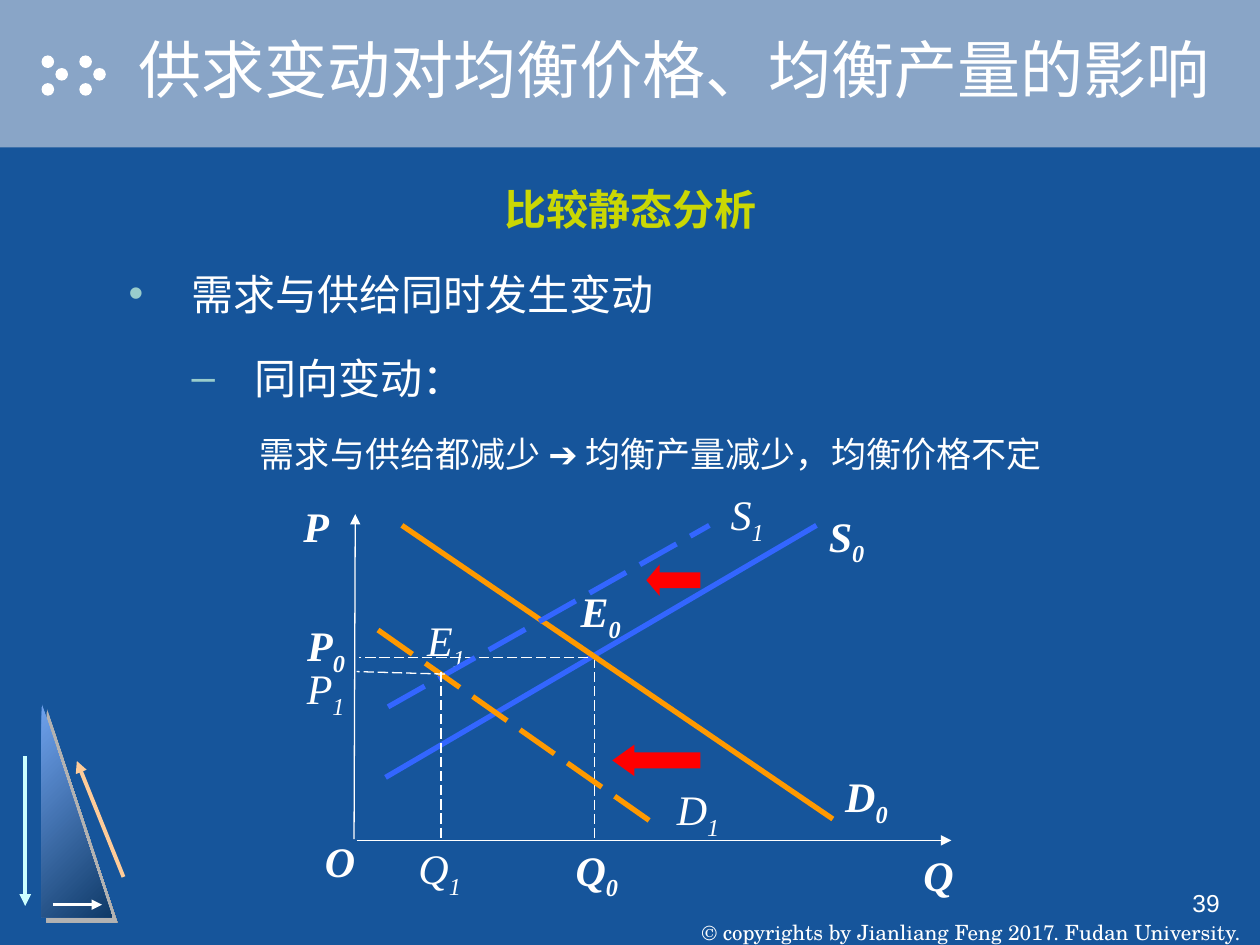
from lxml.etree import SubElement as Sub
from pptx import Presentation
from pptx.dml.color import RGBColor as Rgb
from pptx.enum.dml import MSO_LINE as Dash
from pptx.enum.shapes import MSO_CONNECTOR as Link, MSO_SHAPE as Kind
from pptx.enum.text import MSO_ANCHOR as Anchor, MSO_AUTO_SIZE as Fit, PP_ALIGN as Align
from pptx.oxml.ns import qn
from pptx.util import Pt

SCALE = 9144
NAVY = Rgb(0x16, 0x55, 0x9B)
BAND = Rgb(0x89, 0xA5, 0xC7)
WHITE = Rgb(0xFF, 0xFF, 0xFF)
LIME = Rgb(0xCA, 0xD7, 0x04)
TEAL = Rgb(0x99, 0xCC, 0xCC)
BLUE = Rgb(0x33, 0x66, 0xFF)
ORANGE = Rgb(0xFF, 0x99, 0x00)
RED = Rgb(0xFF, 0x00, 0x00)
CYAN = Rgb(0xCC, 0xFF, 0xFF)
PEACH = Rgb(0xFF, 0xCC, 0x99)
SKY = Rgb(0x6F, 0xA2, 0xED)
DEEP = Rgb(0x0F, 0x3A, 0x68)
GREY = Rgb(0xB2, 0xB2, 0xB2)
DARK = Rgb(0x00, 0x00, 0x00)
SERIF = "Times New Roman"
HAN = "Noto Sans CJK SC"


def px(*vals):
    return [round(v * SCALE) for v in vals]


def style(item, form):
    for name, val in form.items():
        setattr(item, name, val)


class Board:
    def __init__(self, slide):
        self.slide = slide
        self.shapes = slide.shapes
        slide.background.fill.solid()
        slide.background.fill.fore_color.rgb = NAVY

    def shape(self, kind, box, color, adj=()):
        item = self.shapes.add_shape(kind, *px(*box))
        item.shadow.inherit = False
        item.line.fill.background()
        item.fill.solid()
        item.fill.fore_color.rgb = color
        for i, val in enumerate(adj):
            item.adjustments[i] = val
        return item

    def shade(self, node, color, dist):
        cast = Sub(node, qn("a:outerShdw"), dist=str(Pt(dist)), dir="2700000", algn="ctr", rotWithShape="0")
        Sub(cast, qn("a:srgbClr"), val=str(color))

    def line(self, ends, color, width, tip=False, dash=False):
        item = self.shapes.add_connector(Link.STRAIGHT, *px(*ends))
        item.line.color.rgb = color
        item.line.width = Pt(width)
        if dash:
            item.line.dash_style = Dash.LONG_DASH
        if tip:
            Sub(item.line._get_or_add_ln(), qn("a:tailEnd"), type="triangle")
        Sub(item._element.spPr, qn("a:effectLst"))

    def frame(self, item, **form):
        base = dict(word_wrap=True, auto_size=Fit.NONE, vertical_anchor=Anchor.TOP)
        left, top = px(10, 5)
        base.update(margin_left=left, margin_right=left, margin_top=top, margin_bottom=top)
        style(item.text_frame, base | form)
        return item.text_frame

    def box(self, box, **form):
        return self.frame(self.shapes.add_textbox(*px(*box)), **form)

    def holder(self, spot, box, **form):
        item = self.slide.placeholders[spot]
        style(item, dict(zip(("left", "top", "width", "height"), px(*box))))
        self.shapes._spTree.append(item._element)
        return self.frame(item, **form)

    def para(self, frame, first=False, **form):
        par = frame.paragraphs[0] if first else frame.add_paragraph()
        style(par, form)
        return par

    def bullet(self, par, mark, left, hang):
        pr = par._p.get_or_add_pPr()
        left, hang = px(left, hang)
        pr.set("marL", str(left))
        pr.set("indent", str(-hang))
        if mark:
            Sub(Sub(pr, qn("a:buClr")), qn("a:srgbClr"), val=str(TEAL))
            Sub(pr, qn("a:buFont"), typeface="Arial")
            Sub(pr, qn("a:buChar"), char=mark)
        else:
            Sub(pr, qn("a:buNone"))

    def run(self, par, text, size, name=SERIF, color=WHITE, base=0, **form):
        run = par.add_run()
        run.text = text
        style(run.font, dict(size=Pt(size), name=name, bold=False) | form)
        run.font.color.rgb = color
        pr = run._r.get_or_add_rPr()
        if base:
            pr.set("baseline", str(base))
        pr.find(qn("a:latin")).addnext(pr.makeelement(qn("a:ea"), typeface=HAN))
        return run

    def label(self, text, box, bold, wrap=True):
        frame = self.box(box, word_wrap=wrap, auto_size=Fit.SHAPE_TO_FIT_TEXT)
        par = self.para(frame, True, alignment=Align.LEFT if bold else Align.CENTER)
        self.run(par, text[0], 24, bold=bold, italic=True)
        if text[1:]:
            self.run(par, text[1:], 24, base=-25000, bold=bold, italic=True)


def backdrop(board):
    board.shape(Kind.RECTANGLE, (0, 0, 1000, 117), BAND)
    for left in (33, 63):
        for dx, top in ((0, 44), (11, 54), (0, 66)):
            board.shape(Kind.OVAL, (left + dx, top, 10, 10), WHITE)
    wedge = board.shape(Kind.RIGHT_TRIANGLE, (33, 558, 56, 170), SKY)
    wedge.fill.gradient()
    wedge.fill.gradient_angle = 315
    for stop, color, pos in zip(wedge.fill.gradient_stops, (SKY, DEEP), (0, 1)):
        stop.color.rgb = color
        stop.position = pos
    board.shade(wedge._element.spPr.find(qn("a:effectLst")), GREY, 4.2)
    board.line((20, 600, 20, 719), CYAN, 2.25, tip=True)
    board.line((98, 696, 61, 604), PEACH, 2.25, tip=True)
    board.line((42, 718, 81, 718), WHITE, 1.5, tip=True)


def words(board):
    foot = board.box((542, 700, 458, 50), word_wrap=False, vertical_anchor=Anchor.BOTTOM,
                     margin_top=0, margin_bottom=0)
    par = board.para(foot, True, alignment=Align.CENTER)
    board.run(par, "© copyrights by Jianliang Feng 2017. Fudan University.", 12, "TeX Gyre Schola")
    par = board.para(board.box((775, 700, 203, 50)), True, alignment=Align.RIGHT)
    board.run(par, "39", 14, "Arial")

    title = board.holder(0, (100, 0, 900, 108), vertical_anchor=Anchor.MIDDLE)
    par = board.para(title, True, alignment=Align.LEFT)
    run = board.run(par, "供求变动对均衡价格、均衡产量的影响", 36, "Arial")
    pr = run._r.get_or_add_rPr()
    glow = pr.makeelement(qn("a:effectLst"))
    pr.find(qn("a:solidFill")).addnext(glow)
    board.shade(glow, DARK, 2)

    body = board.holder(1, (92, 133, 817, 200))
    rows = (
        ("比较静态分析", 0, None, 0, 0, Align.CENTER, HAN, LIME),
        ("需求与供给同时发生变动", 0, "•", 50, 50, Align.JUSTIFY, HAN, WHITE),
        ("同向变动：", 1, "–", 100, 50, Align.JUSTIFY, SERIF, WHITE),
    )
    for i, (text, level, mark, left, hang, align, name, color) in enumerate(rows):
        par = board.para(body, i == 0, level=level, alignment=align, line_spacing=1.2,
                         space_before=Pt(13.5 if i else 0))
        board.bullet(par, mark, left, hang)
        board.run(par, text, 24, name, color, bold=i == 0)

    par = board.para(board.box((108, 332, 817, 67)), True, alignment=Align.CENTER, line_spacing=1.2)
    for text, name in (("需求与供给都减少 ", SERIF), ("➔", "Arial"), (" 均衡产量减少，均衡价格不定", SERIF)):
        board.run(par, text, 20, name)


def graph(board):
    board.line((306, 617, 648, 417), BLUE, 3)
    for ends in ((281, 666, 282, 408), (283, 667, 755, 667)):
        board.line(ends, WHITE, 0.75, tip=True)
    for ends in ((472, 522, 472, 666), (467, 522, 285, 522)):
        board.line(ends, WHITE, 0.75, dash=True)
    old = (
        ("S0", 648, 400, 50, True), ("D0", 661, 607, 58, True), ("E0", 451, 460, 52, False),
        ("O", 248, 658, 44, False), ("Q", 723, 669, 50, True), ("Q0", 447, 665, 56, True),
        ("P", 231, 392, 50, True), ("P0", 234, 487, 50, False),
    )
    for text, left, top, wide, wrap in old:
        board.label(text, (left, top, wide, 56 if text[1:] else 50), True, wrap)
    board.line((319, 417, 661, 650), ORANGE, 3)

    for left, top, wide, head in ((513, 448, 43, 0.425), (486, 591, 70, 0.702)):
        board.shape(Kind.LEFT_ARROW, (left, top, wide, 25), RED, (0.5, head))
    new = (("E1", 325, 483, 58), ("S1", 568, 383, 50), ("Q1", 320, 664, 58),
           ("P1", 225, 521, 67), ("D1", 525, 617, 58))
    for text, left, top, wide in new:
        board.label(text, (left, top, wide, 56), False)
    board.line((308, 561, 563, 417), BLUE, 3, dash=True)
    board.line((300, 500, 525, 658), ORANGE, 3, dash=True)
    for ends in ((350, 533, 350, 667), (353, 535, 283, 533)):
        board.line(ends, WHITE, 0.75, dash=True)


def main():
    deck = Presentation()
    deck.slide_width, deck.slide_height = px(1000, 750)
    board = Board(deck.slides.add_slide(deck.slide_layouts[1]))
    backdrop(board)
    words(board)
    graph(board)
    deck.save("out.pptx")


if __name__ == "__main__":
    main()
